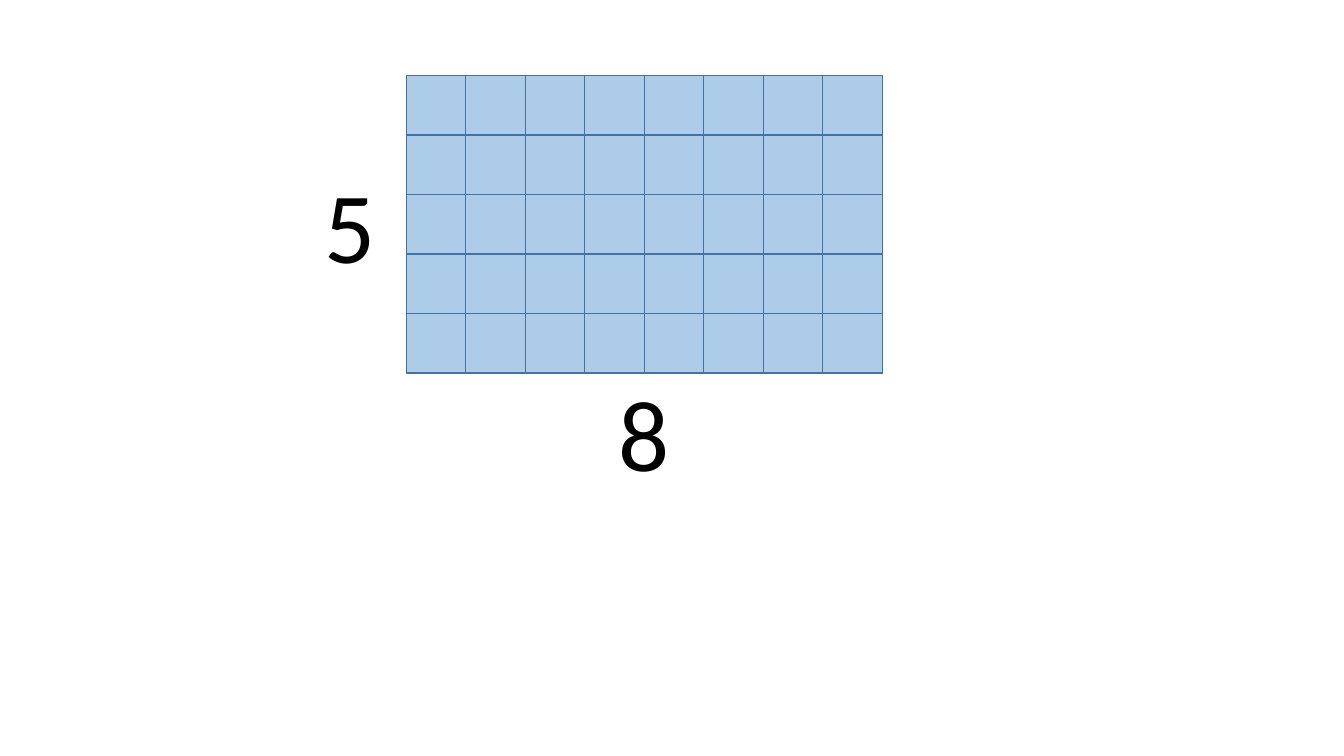
"""Build a slide showing a 5 by 8 array of unit squares with its side lengths."""
from lxml import etree
from pptx import Presentation
from pptx.dml.color import RGBColor
from pptx.enum import shapes, text
from pptx.oxml.ns import qn
from pptx.util import Pt

ROWS, COLUMNS = 5, 8
SQUARE_FILL = RGBColor(0x5B, 0x9B, 0xD5)
SQUARE_LINE = RGBColor(0x43, 0x73, 0x9E)
BLACK = RGBColor(0, 0, 0)

SIDE = 42.5
GRID_LEFT, GRID_TOP = 290.2, 54
GRID_WIDTH, GRID_HEIGHT = COLUMNS * SIDE, ROWS * SIDE
LABEL_WIDTH, LABEL_HEIGHT = 51, 94.5
ROWS_GAP, COLUMNS_GAP = 14.4, -5

SIDE_LENGTHS = [
    (str(ROWS), GRID_LEFT - ROWS_GAP - LABEL_WIDTH,
     GRID_TOP + (GRID_HEIGHT - LABEL_HEIGHT) / 2),
    (str(COLUMNS), GRID_LEFT + (GRID_WIDTH - LABEL_WIDTH) / 2,
     GRID_TOP + GRID_HEIGHT + COLUMNS_GAP),
]


def add_square(slide, row, column):
    square = slide.shapes.add_shape(
        shapes.MSO_SHAPE.RECTANGLE, Pt(GRID_LEFT + column * SIDE),
        Pt(GRID_TOP + row * SIDE), Pt(SIDE), Pt(SIDE))
    square.shadow.inherit = False
    square.fill.solid()
    square.fill.fore_color.rgb = SQUARE_FILL
    color = square.element.spPr.find(qn("a:solidFill"))[0]
    etree.SubElement(color, qn("a:alpha"), val="50000")
    square.line.color.rgb = SQUARE_LINE
    square.line.width = Pt(1)


def add_side_length(slide, length, left, top):
    label = slide.shapes.add_textbox(
        Pt(left), Pt(top), Pt(LABEL_WIDTH), Pt(LABEL_HEIGHT))
    frame = label.text_frame
    frame.word_wrap = False
    frame.auto_size = text.MSO_AUTO_SIZE.SHAPE_TO_FIT_TEXT
    run = frame.paragraphs[0].add_run()
    run.text = length
    run.font.name = "Calibri"
    run.font.size = Pt(72)
    run.font.color.rgb = BLACK


deck = Presentation()
deck.slide_width, deck.slide_height = Pt(960), Pt(540)
area_slide = deck.slides.add_slide(deck.slide_layouts.get_by_name("Blank"))
for row in range(ROWS):
    for column in range(COLUMNS):
        add_square(area_slide, row, column)
for length, left, top in SIDE_LENGTHS:
    add_side_length(area_slide, length, left, top)
deck.save("out.pptx")
